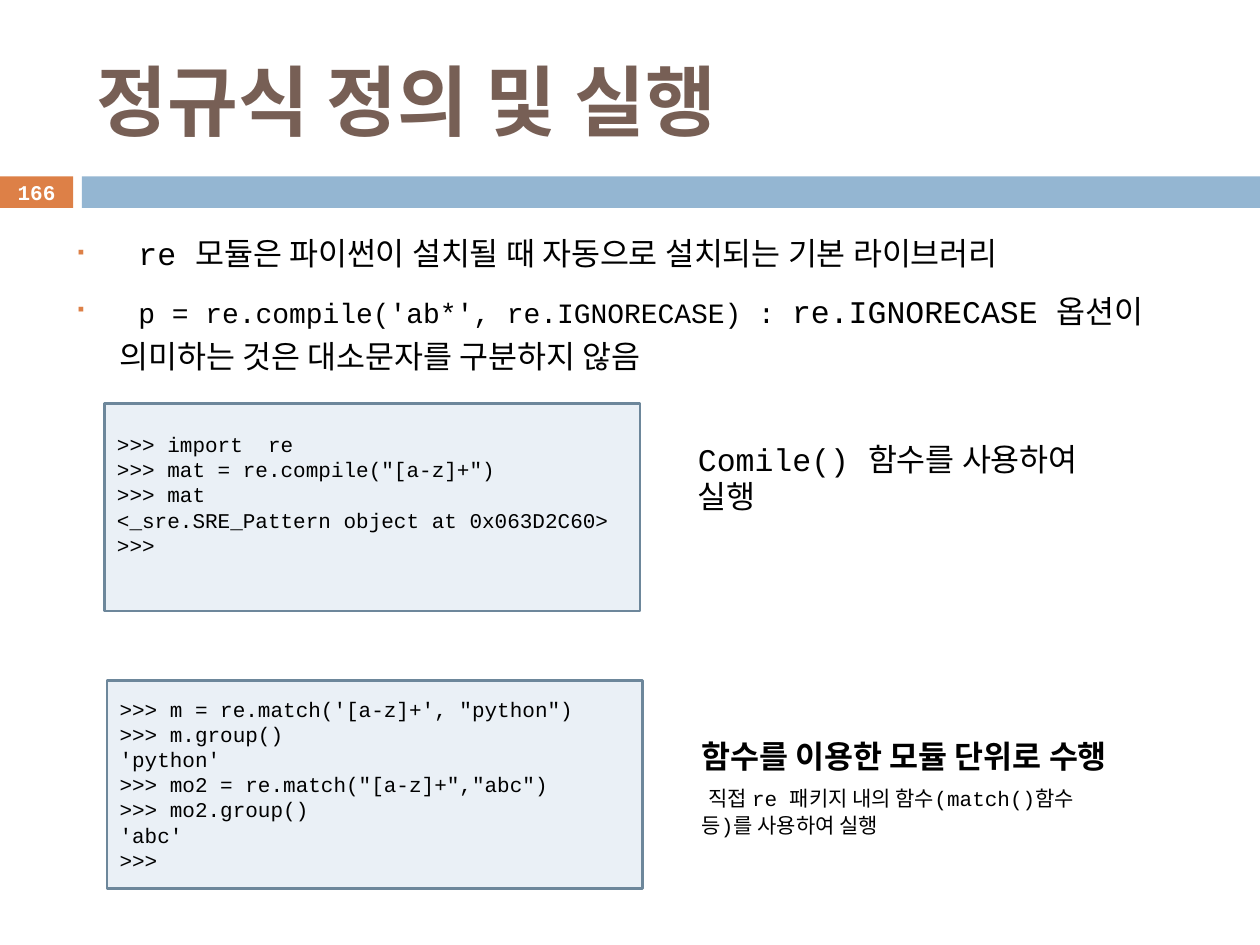
from dataclasses import dataclass

from lxml.etree import SubElement
from pptx import Presentation
from pptx.dml.color import RGBColor as RGB
from pptx.enum.shapes import MSO_SHAPE as Shape
from pptx.enum.text import MSO_ANCHOR as Anchor, PP_ALIGN as Align
from pptx.oxml.ns import qn
from pptx.util import Inches, Pt


@dataclass(frozen=True)
class Theme:
    font: str = "Courier New"
    title: str = "775F55"
    accent: str = "DD8047"
    band: str = "94B6D2"
    code_fill: str = "EAF0F6"
    code_line: str = "6D879B"
    ink: str = "000000"
    white: str = "FFFFFF"
    title_size: float = 44
    body_size: float = 18
    inline_code_size: float = 16
    small_size: float = 12


class SlideBuilder:
    def __init__(self, slide, theme):
        self.slide = slide
        self.theme = theme

    def style(self, run, size, color=None, bold=False):
        font = run.font
        font.name, font.size, font.bold = self.theme.font, Pt(size), bold
        font.color.rgb = RGB.from_string(color or self.theme.ink)

    def bar(self, left, top, width, height, fill, line=None):
        bar = self.slide.shapes.add_shape(
            Shape.RECTANGLE, *map(Inches, (left, top, width, height)))
        bar.shadow.inherit = False
        bar.fill.solid()
        bar.fill.fore_color.rgb = RGB.from_string(fill)
        if line:
            bar.line.color.rgb = RGB.from_string(line)
            bar.line.width = Pt(1.5)
        else:
            bar.line.fill.background()
        return bar

    def text(self, left, top, width, height, paragraphs, anchor=Anchor.TOP):
        """Each paragraph is a list of (text, size, colour, bold) runs."""
        box = self.slide.shapes.add_textbox(*map(Inches, (left, top, width, height)))
        frame = box.text_frame
        frame.word_wrap = True
        frame.vertical_anchor = anchor
        for index, runs in enumerate(paragraphs):
            paragraph = frame.add_paragraph() if index else frame.paragraphs[0]
            for content, *look in runs:
                run = paragraph.add_run()
                run.text = content
                self.style(run, *look)
        return frame

    def bullets(self, left, top, width, height, paragraphs):
        frame = self.text(left, top, width, height, paragraphs)
        for index, paragraph in enumerate(frame.paragraphs):
            props = paragraph._p.get_or_add_pPr()
            props.set("marL", str(Inches(0.35)))
            props.set("indent", str(-Inches(0.35)))
            paragraph.line_spacing = 1.2
            paragraph.space_before = Pt(7 if index else 0)
            color = SubElement(props, qn("a:buClr"))
            SubElement(color, qn("a:srgbClr"), val=self.theme.accent)
            SubElement(props, qn("a:buSzPct"), val="60000")
            SubElement(props, qn("a:buFont"), typeface=self.theme.font)
            SubElement(props, qn("a:buChar"), char="▪")

    def code(self, left, top, source, bottom_inset=0.05):
        box = self.bar(left, top, 4.25, 1.65, self.theme.code_fill, self.theme.code_line)
        frame = box.text_frame
        frame.word_wrap = True
        frame.vertical_anchor = Anchor.MIDDLE
        frame.margin_bottom = Inches(bottom_inset)
        frame.text = source
        for paragraph in frame.paragraphs:
            paragraph.alignment = Align.LEFT
            for run in paragraph.runs:
                self.style(run, self.theme.small_size)


COMPILE_CODE = """>>> import  re
>>> mat = re.compile("[a-z]+")
>>> mat
<_sre.SRE_Pattern object at 0x063D2C60>
>>>"""

MATCH_CODE = """>>> m = re.match('[a-z]+', "python")
>>> m.group()
'python'
>>> mo2 = re.match("[a-z]+","abc")
>>> mo2.group()
'abc'
>>>"""


def main():
    deck = Presentation()
    deck.slide_width, deck.slide_height = Inches(10), Inches(7.5)
    theme = Theme()
    page = SlideBuilder(deck.slides.add_slide(deck.slide_layouts[6]), theme)
    body, small = theme.body_size, theme.small_size

    # Header band, title and page number
    page.bar(0, 1.4, 0.58, 0.25, theme.accent)
    page.bar(0.65, 1.4, 9.35, 0.25, theme.band)
    page.text(0.67, 0.25, 8.92, 1.08,
              [[("정규식 정의 및 실행", theme.title_size, theme.title, True)]],
              Anchor.MIDDLE)
    number = page.text(0, 1.39, 0.58, 0.27,
                       [[("166", small, theme.white, True)]], Anchor.MIDDLE)
    number.paragraphs[0].alignment = Align.CENTER

    # Introduction
    page.bullets(0.5, 1.75, 9, 1.45, [
        [("\u00a0re 모듈은 파이썬이 설치될 때 자동으로 설치되는 기본 라이브러리", body)],
        [(" ", body),
         ("p = re.compile('ab*', re.IGNORECASE) : ", theme.inline_code_size),
         ("re.IGNORECASE 옵션이 의미하는 것은 대소문자를 구분하지 않음", body)],
    ])

    # Running through compile(); the deeper inset lifts the code by half a line
    page.code(0.83, 3.2, COMPILE_CODE, bottom_inset=0.25)
    page.text(5.44, 3.44, 3.42, 0.71, [[("Comile() 함수를 사용하여 실행", body)]])

    # Running through module functions
    page.code(0.85, 5.4, MATCH_CODE)
    page.text(5.47, 5.8, 3.42, 1.21, [
        [("함수를 이용한 모듈 단위로 수행", body, theme.ink, True)],
        [(" ", body),
         ("직접 re 패키지 내의 함수(match()함수 등)를 사용하여 실행", small)],
    ])

    deck.save("out.pptx")


if __name__ == "__main__":
    main()
